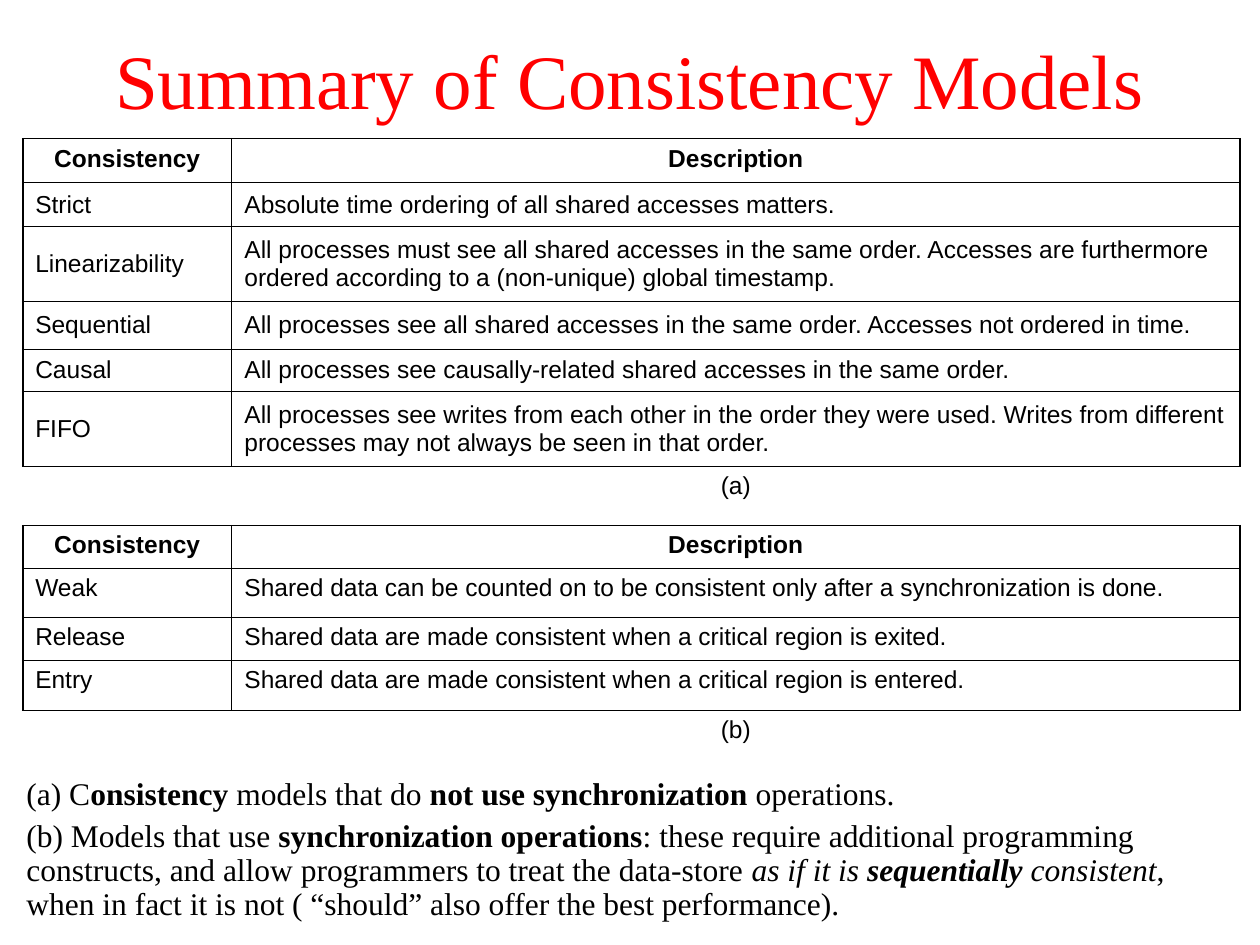
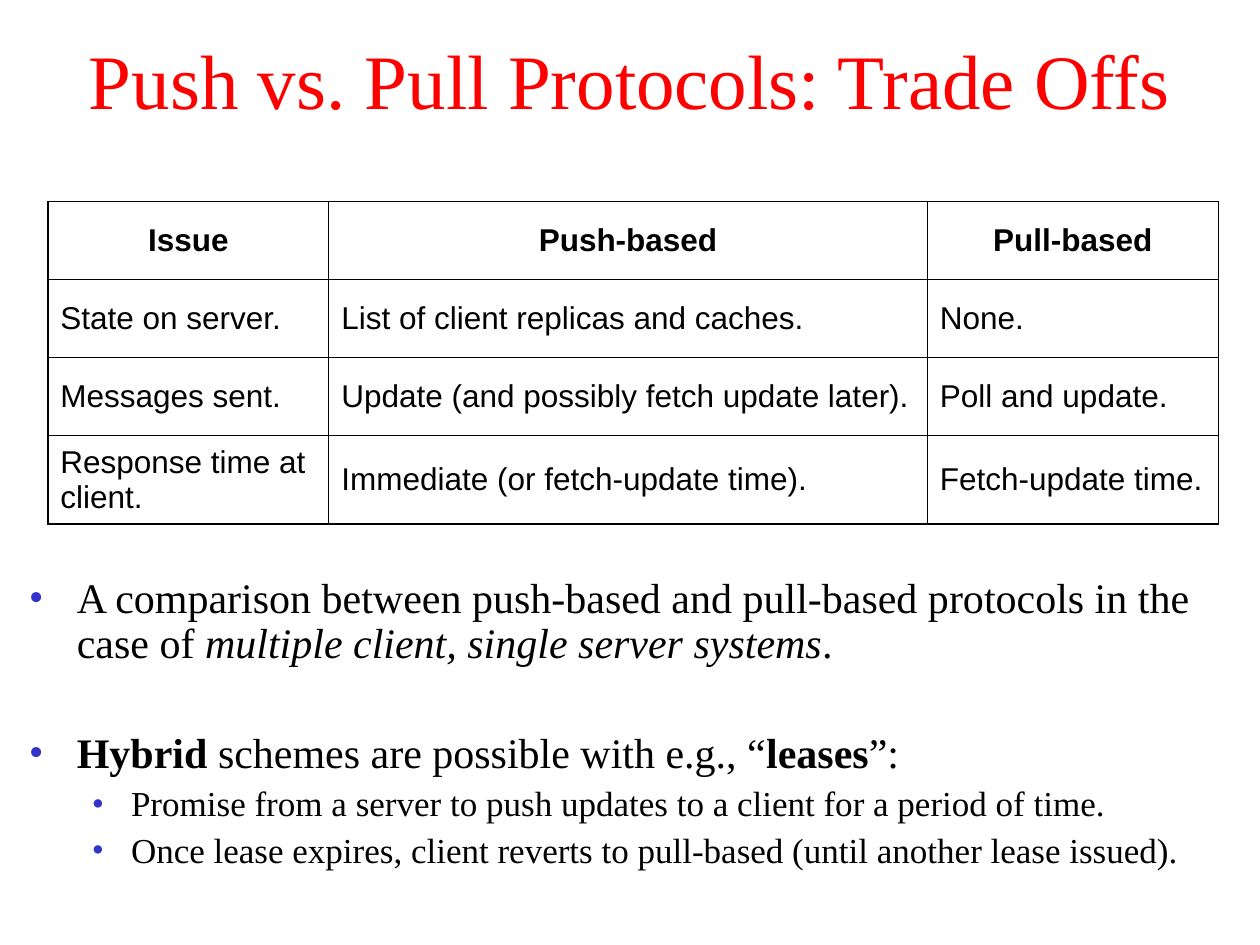
from dataclasses import dataclass

from lxml.etree import SubElement
from pptx import Presentation
from pptx.dml.color import RGBColor
from pptx.enum.text import MSO_ANCHOR, MSO_AUTO_SIZE, PP_ALIGN
from pptx.oxml.ns import qn
from pptx.util import Inches, Pt


@dataclass(frozen=True)
class Theme:
    serif: str = "Times New Roman"
    sans: str = "Arial"
    red: str = "FF0000"
    black: str = "000000"
    blue: str = "3333CC"
    title: int = 44
    thick: float = 1.08
    thin: float = 0.45


THEME = Theme()
TITLE_BOX = (0, 0, 10, 1.25)

MODEL_HEAD = ("Consistency", "Description")
MODELS = [
    MODEL_HEAD,
    ("Strict", "Absolute time ordering of all shared accesses matters."),
    ("Linearizability", "All processes must see all shared accesses in the same order. "
     "Accesses are furthermore ordered according to a (non-unique) global timestamp."),
    ("Sequential", "All processes see all shared accesses in the same order. "
     "Accesses not ordered in time."),
    ("Causal", "All processes see causally-related shared accesses in the same order."),
    ("FIFO", "All processes see writes from each other in the order they were used. "
     "Writes from different processes may not always be seen in that order."),
    ("", "(a)"),
    MODEL_HEAD,
    ("Weak", "Shared data can be counted on to be consistent only after a "
     "synchronization is done."),
    ("Release", "Shared data are made consistent when a critical region is exited."),
    ("Entry", "Shared data are made consistent when a critical region is entered."),
    ("", "(b)"),
]
MODEL_ROWS = (0.35, 0.35, 0.59, 0.38, 0.34, 0.59, 0.47, 0.34, 0.39, 0.34, 0.4, 0.35)

TRADES = [
    ("Issue", "Push-based", "Pull-based"),
    ("State on server.", "List of client replicas and caches.", "None."),
    ("Messages sent.", "Update (and possibly fetch update later).", "Poll and update."),
    ("Response time at client.", "Immediate (or fetch-update time).", "Fetch-update time."),
]

# Each run is (text, style), where style holds "b" for bold and "i" for italic.
MODEL_NOTES = [
    [("(a) C", ""), ("onsistency", "b"), (" models that do ", ""),
     ("not use synchronization ", "b"), ("operations.", "")],
    [("(b) Models that use ", ""), ("synchronization operations", "b"),
     (": these require additional programming constructs, and allow programmers "
      "to treat the data-store ", ""),
     ("as if it is ", "i"), ("sequentially", "bi"), (" consistent", "i"),
     (", when in fact it is not ( “should” also offer the best performance).", "")],
]
COMPARE = [("A comparison between push-based and pull-based protocols in the case of ", ""),
           ("multiple client, single server systems", "i"), (".", "")]
HYBRID = [("Hybrid", "b"), (" schemes are possible with e.g., “", ""),
          ("leases", "b"), ("”:", "")]
LEASES = [
    [("Promise from a server to push updates to a client for a period of time.", "")],
    [("Once lease expires, client reverts to pull-based (until another lease issued).", "")],
]


def style(run, face, size, color=THEME.black, marks=""):
    font = run.font
    font.name, font.size = face, Pt(size)
    font.color.rgb = RGBColor.from_string(color)
    font.bold, font.italic = "b" in marks, "i" in marks


def place(shape, box):
    shape.left, shape.top, shape.width, shape.height = map(Inches, box)
    shape.text_frame.auto_size = MSO_AUTO_SIZE.NONE


def add_slide(deck, text):
    slide = deck.slides.add_slide(deck.slide_layouts[1])
    title = slide.shapes.title
    place(title, TITLE_BOX)
    frame = title.text_frame
    frame.text = text
    frame.vertical_anchor = MSO_ANCHOR.MIDDLE
    para = frame.paragraphs[0]
    para.alignment = PP_ALIGN.CENTER
    style(para.runs[0], THEME.serif, THEME.title, THEME.red)
    return slide


def set_bullet(para, left, hang):
    """Hang a bullet in front of the text, or remove it when hang is zero."""
    props = para._p.get_or_add_pPr()
    props.set("marL", str(Inches(left)))
    props.set("indent", str(-Inches(hang)))
    if hang:
        color = SubElement(props, qn("a:buClr"))
        SubElement(color, qn("a:srgbClr"), val=THEME.blue)
        SubElement(props, qn("a:buFont"), typeface=THEME.serif)
        SubElement(props, qn("a:buChar"), char="•")
    else:
        SubElement(props, qn("a:buNone"))


def fill_body(slide, box, items):
    """Write items of (runs, level, size, space before, left, hang)."""
    body = slide.placeholders[1]
    place(body, box)
    frame = body.text_frame
    for i, (runs, level, size, space, left, hang) in enumerate(items):
        para = frame.paragraphs[0] if i == 0 else frame.add_paragraph()
        para.level = level
        para.line_spacing, para.space_before = 0.9, Pt(space)
        for text, marks in runs:
            run = para.add_run()
            run.text = text
            style(run, THEME.serif, size, marks=marks)
        set_bullet(para, left, hang)


def set_edges(cell, widths):
    """Draw the left, right, top and bottom edges; a width of zero hides one."""
    props = cell._tc.get_or_add_tcPr()
    for side, width in zip("LRTB", widths):
        line = SubElement(props, qn(f"a:ln{side}"), w=str(Pt(width)))
        if width:
            fill = SubElement(line, qn("a:solidFill"))
            SubElement(fill, qn("a:srgbClr"), val=THEME.black)
        else:
            SubElement(line, qn("a:noFill"))
    cell.fill.background()


def edge_widths(rows, r, c):
    caption = not rows[r][0]
    last_row, last_col = r == len(rows) - 1, c == len(rows[r]) - 1

    def pick(outer):
        return THEME.thick if outer else THEME.thin

    left = 0 if caption else pick(c == 0)
    right = 0 if caption else pick(last_col)
    bottom = 0 if caption and last_row else pick(last_row)
    return left, right, pick(r == 0), bottom


def add_grid(slide, spot, rows, widths, heights, size, space, middle):
    """Add a ruled table; rows listed in middle centre their text vertically."""
    box = map(Inches, (*spot, sum(widths), sum(heights)))
    table = slide.shapes.add_table(len(rows), len(widths), *box).table
    table.first_row = table.horz_banding = False
    for col, width in zip(table.columns, widths):
        col.width = Inches(width)
    for r, (row, height) in enumerate(zip(rows, heights)):
        table.rows[r].height = Inches(height)
        head = row == rows[0]
        for c, text in enumerate(row):
            cell = table.cell(r, c)
            set_edges(cell, edge_widths(rows, r, c))
            cell.vertical_anchor = MSO_ANCHOR.MIDDLE if r in middle else MSO_ANCHOR.TOP
            if not text:
                continue
            cell.text_frame.text = text
            para = cell.text_frame.paragraphs[0]
            para.space_before = Pt(space)
            para.alignment = PP_ALIGN.CENTER if head or not row[0] else PP_ALIGN.LEFT
            style(para.runs[0], THEME.sans, size, marks="b" if head else "")


def add_models(deck):
    slide = add_slide(deck, "Summary of Consistency Models")
    fill_body(slide, (0.11, 6.13, 9.79, 1.26),
              [(runs, 0, 18, 4.5, 0, 0) for runs in MODEL_NOTES])
    add_grid(slide, (0.18, 1.1), MODELS, (1.66, 8), MODEL_ROWS, 14, 3.5, range(1, 6))


def add_trades(deck):
    slide = add_slide(deck, "Push vs. Pull Protocols: Trade Offs")
    points = [(COMPARE, 0, 24, 6, 0.38, 0.38), (HYBRID, 0, 24, 37, 0.38, 0.38)]
    points += [(runs, 1, 20, 5, 0.81, 0.31) for runs in LEASES]
    fill_body(slide, (0.13, 4.53, 9.75, 2.87), points)
    add_grid(slide, (0.38, 1.6), TRADES, (2.23, 4.75, 2.31),
             (0.62, 0.62, 0.62, 0.7), 18, 4.5, range(4))


def main():
    deck = Presentation()
    deck.slide_width, deck.slide_height = Inches(10), Inches(7.5)
    add_models(deck)
    add_trades(deck)
    deck.save("out.pptx")


if __name__ == "__main__":
    main()
